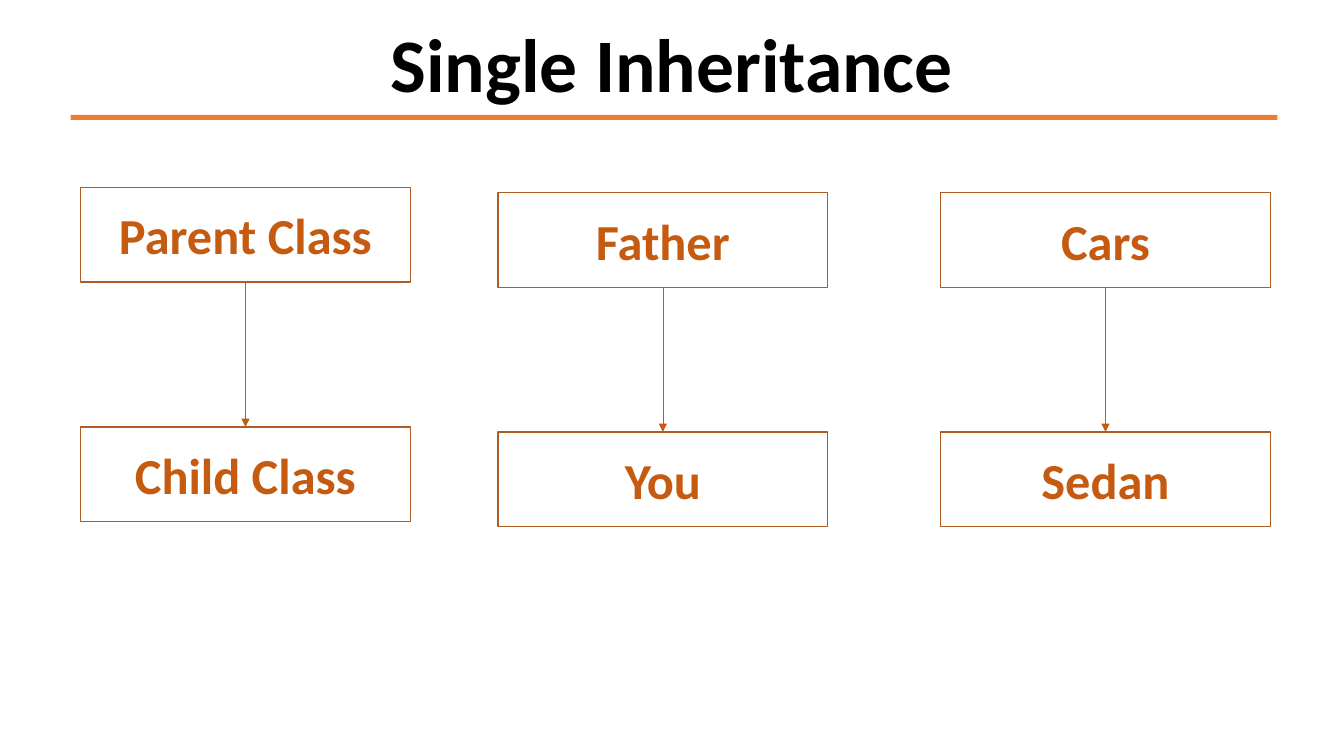
import pptx
import pptx.util
import pptx.dml.color
import pptx.enum.shapes
import pptx.enum.text
import pptx.oxml.ns
import lxml.etree

Inches = pptx.util.Inches
RECTANGLE = pptx.enum.shapes.MSO_SHAPE.RECTANGLE
COLORS = {
    "title": "000000",
    "rule": "ED7D31",
    "box": "FFFFFF",
    "border": "AF5C24",
    "accent": "C55A11",
}


def rgb(name):
    return pptx.dml.color.RGBColor.from_string(COLORS[name])


def write_text(shape, text, size, color):
    frame = shape.text_frame
    frame.word_wrap = True
    frame.vertical_anchor = pptx.enum.text.MSO_ANCHOR.MIDDLE
    frame.text = text
    para = frame.paragraphs[0]
    para.alignment = pptx.enum.text.PP_ALIGN.CENTER
    span = para.runs[0]
    span.font.name = "Calibri"
    span.font.size = pptx.util.Pt(size)
    span.font.bold = True
    span.font.color.rgb = rgb(color)


deck = pptx.Presentation()
deck.slide_width = Inches(13.33)
deck.slide_height = Inches(7.5)
page = deck.slides.add_slide(deck.slide_layouts[6])

# Title and the rule below it
title = page.shapes.add_textbox(Inches(1.15), 0, Inches(11.03), Inches(1.24))
write_text(title, "Single Inheritance", 54, "title")

rule = page.shapes.add_shape(
    RECTANGLE, Inches(0.7), Inches(1.14), Inches(11.97), Inches(0.05))
rule.shadow.inherit = False
rule.fill.solid()
rule.fill.fore_color.rgb = rgb("rule")
rule.line.fill.background()

# Parent and child pairs: left, top, parent, child
pairs = [
    (0.8, 1.86, "Parent Class", "Child Class"),
    (4.94, 1.91, "Father", "You"),
    (9.33, 1.91, "Cars", "Sedan"),
]
box_width, box_height, row_step = 3.27, 0.94, 2.375

for left, top, parent, child in pairs:
    boxes = []
    for row, label in enumerate((parent, child)):
        box = page.shapes.add_shape(
            RECTANGLE, Inches(left), Inches(top + row * row_step),
            Inches(box_width), Inches(box_height))
        box.shadow.inherit = False
        box.fill.solid()
        box.fill.fore_color.rgb = rgb("box")
        box.line.color.rgb = rgb("border")
        box.line.width = pptx.util.Pt(1)
        write_text(box, label, 36, "accent")
        boxes.append(box)

    # Arrow from the bottom of the parent to the top of the child
    arrow = page.shapes.add_connector(
        pptx.enum.shapes.MSO_CONNECTOR.STRAIGHT, 0, 0, 0, 0)
    arrow.begin_connect(boxes[0], 2)
    arrow.end_connect(boxes[1], 0)
    arrow.line.color.rgb = rgb("accent")
    arrow.line.width = pptx.util.Pt(0.5)
    outline = arrow.line._get_or_add_ln()
    lxml.etree.SubElement(outline, pptx.oxml.ns.qn("a:tailEnd"), type="triangle")
    lxml.etree.SubElement(
        arrow._element.spPr, pptx.oxml.ns.qn("a:effectLst"))

deck.save("out.pptx")
